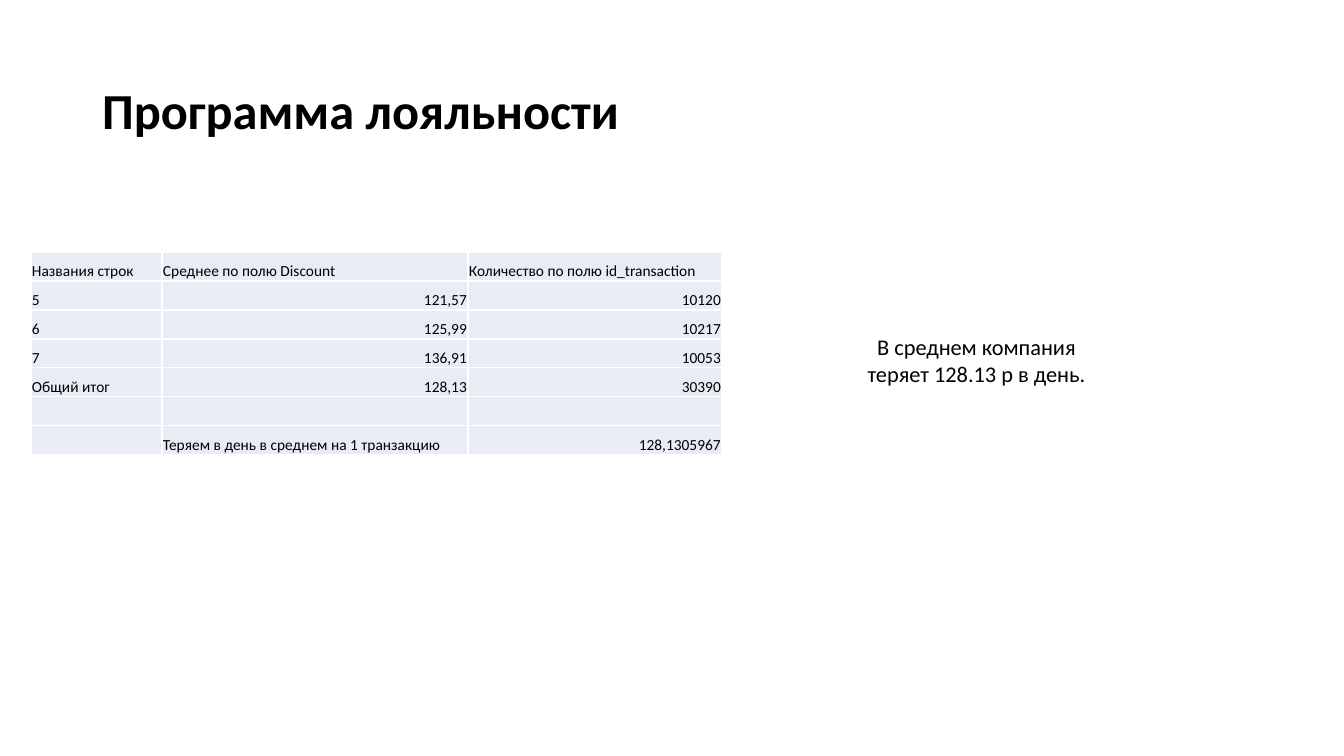
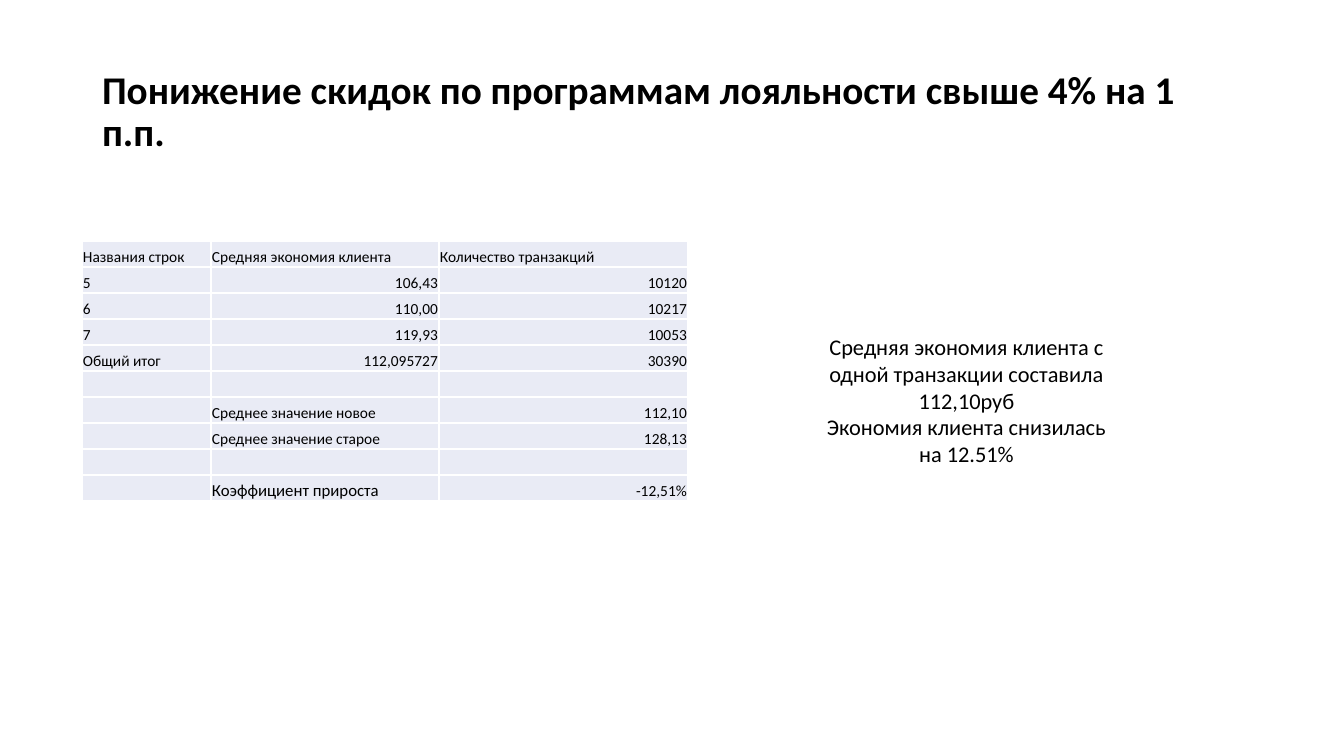
from lxml import etree
from pptx import Presentation
from pptx.dml.color import RGBColor
from pptx.enum.text import MSO_ANCHOR, MSO_AUTO_SIZE, PP_ALIGN
from pptx.oxml.ns import qn
from pptx.util import Emu, Pt

LEFT, CENTER, RIGHT = PP_ALIGN.LEFT, PP_ALIGN.CENTER, PP_ALIGN.RIGHT
MIDDLE, BOTTOM = MSO_ANCHOR.MIDDLE, MSO_ANCHOR.BOTTOM
NO_FIT = MSO_AUTO_SIZE.NONE
TITLE_ONLY = 5
EMU_PER_PX = 914400 / 100.8


def px(length):
    return Emu(round(length * EMU_PER_PX))


def color(value):
    return RGBColor.from_string(value)


class Report:
    FONT = "Calibri"
    INK = "000000"
    CELL_FILL = "E9EBF5"
    CELL_SIZE = 11
    NOTE_SIZE = 16

    def __init__(self):
        self.deck = Presentation()
        self.deck.slide_width, self.deck.slide_height = px(1344), px(756)
        self.page = None

    def style(self, paragraph, size, align, bold=False):
        paragraph.alignment = align
        font = paragraph.font
        font.name, font.size, font.bold = self.FONT, Pt(size), bold
        font.color.rgb = color(self.INK)

    def add_page(self, title, size):
        self.page = self.deck.slides.add_slide(self.deck.slide_layouts[TITLE_ONLY])
        box = self.page.shapes.title
        box.left, box.top, box.width, box.height = map(px, (92, 40, 1159, 146))
        frame = box.text_frame
        frame.text = title
        frame.auto_size, frame.vertical_anchor = NO_FIT, MIDDLE
        paragraph = frame.paragraphs[0]
        paragraph.line_spacing = 0.9
        self.style(paragraph, size, LEFT, bold=True)

    def add_table(self, left, top, widths, row_height, rows, sizes=None):
        sizes = sizes or {}
        table = self.page.shapes.add_table(
            len(rows), len(widths), px(left), px(top),
            px(sum(widths)), px(row_height * len(rows))).table
        table.first_row = table.horz_banding = False
        for column, width in zip(table.columns, widths):
            column.width = px(width)
        for r, texts in enumerate(rows):
            table.rows[r].height = px(row_height)
            for c, text in enumerate(texts):
                self.fill_cell(table.cell(r, c), text, c > 0,
                               sizes.get(text, self.CELL_SIZE))

    def fill_cell(self, cell, text, value_column, size):
        cell.fill.solid()
        cell.fill.fore_color.rgb = color(self.CELL_FILL)
        cell.margin_left = cell.margin_right = cell.margin_top = px(1)
        cell.margin_bottom = 0
        cell.vertical_anchor = BOTTOM
        cell.text = text
        paragraph = cell.text_frame.paragraphs[0]
        is_number = value_column and text[:1] in tuple("-0123456789")
        self.style(paragraph, size, RIGHT if is_number else LEFT)
        if not text:
            # Keeps an empty row from growing to the default text size
            etree.SubElement(paragraph._p, qn("a:endParaRPr"), sz=str(size * 100))

    def add_note(self, left, top, width, height, lines):
        box = self.page.shapes.add_textbox(*map(px, (left, top, width, height)))
        frame = box.text_frame
        frame.word_wrap = True
        frame.text = "\n".join(lines)
        for paragraph in frame.paragraphs:
            self.style(paragraph, self.NOTE_SIZE, CENTER)


def main():
    report = Report()

    # Current loyalty programme
    report.add_page("Программа лояльности", 36)
    report.add_table(31, 252, (131, 306, 254), 29, [
        ("Названия строк", "Среднее по полю Discount", "Количество по полю id_transaction"),
        ("5", "121,57", "10120"),
        ("6", "125,99", "10217"),
        ("7", "136,91", "10053"),
        ("Общий итог", "128,13", "30390"),
        ("", "", ""),
        ("", "Теряем в день в среднем на 1 транзакцию", "128,1305967"),
    ])
    report.add_note(835, 328, 283, 65, ["В среднем компания теряет 128.13 р в день."])

    # Effect of lower discounts
    report.add_page("Понижение скидок по программам лояльности свыше 4% на 1 п.п.", 28)
    report.add_table(82, 241, (129, 228, 249), 26, [
        ("Названия строк", "Средняя экономия клиента", "Количество транзакций"),
        ("5", "106,43", "10120"),
        ("6", "110,00", "10217"),
        ("7", "119,93", "10053"),
        ("Общий итог", "112,095727", "30390"),
        ("", "", ""),
        ("", "Среднее значение новое", "112,10"),
        ("", "Среднее значение старое", "128,13"),
        ("", "", ""),
        ("", "Коэффициент прироста", "-12,51%"),
    ], sizes={"Коэффициент прироста": 12})
    report.add_note(817, 328, 299, 146, [
        "Средняя экономия клиента с одной транзакции составила 112,10руб",
        "Экономия клиента снизилась на 12.51%",
    ])

    report.deck.save("out.pptx")


if __name__ == "__main__":
    main()
